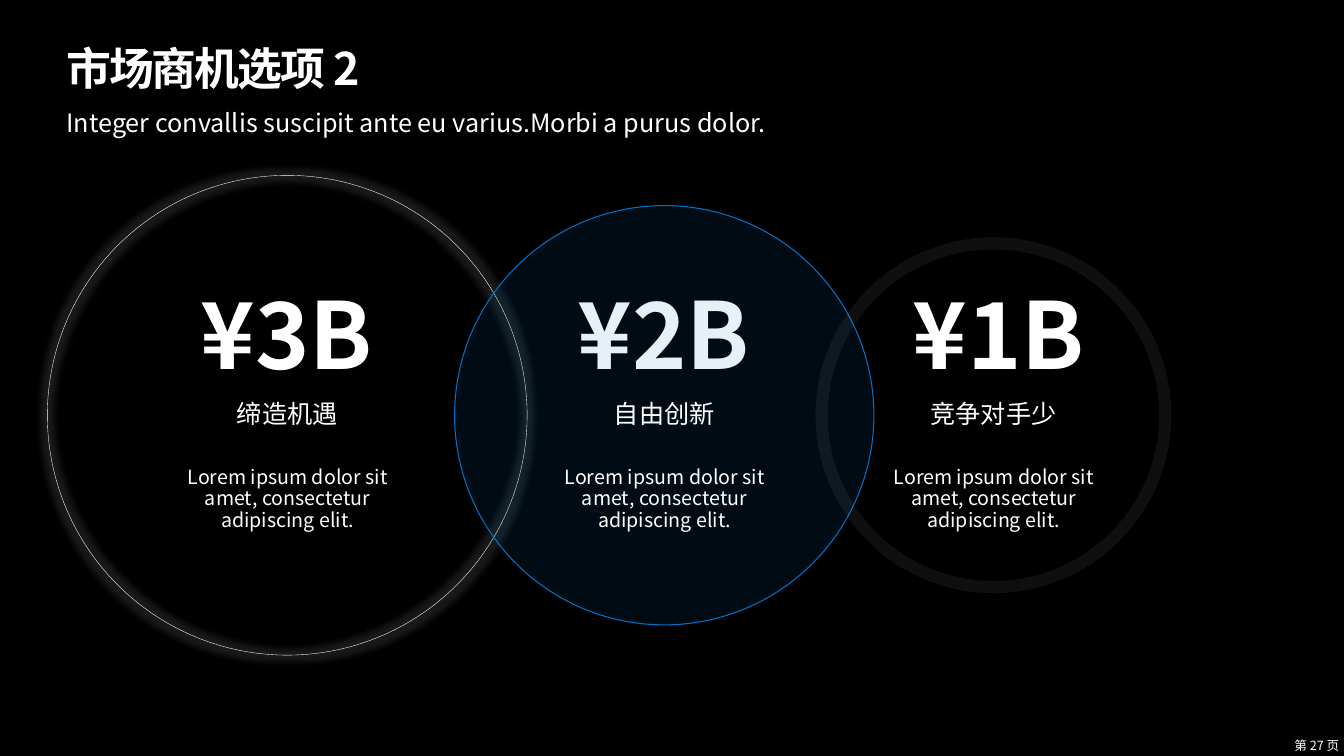
from dataclasses import dataclass

from lxml.etree import SubElement
from pptx import Presentation
from pptx.dml.color import RGBColor
from pptx.enum.shapes import MSO_SHAPE
from pptx.enum.text import MSO_ANCHOR, MSO_AUTO_SIZE, PP_ALIGN
from pptx.oxml.ns import qn
from pptx.util import Pt


@dataclass(frozen=True)
class Theme:
    font: str = "Noto Sans CJK SC"
    black: str = "000000"
    white: str = "FFFFFF"
    blue: str = "0072C7"
    title: int = 32
    value: int = 66
    label: int = 18
    detail: int = 14
    page: int = 9


THEME = Theme()
DETAIL = "Lorem ipsum dolor sit amet, consectetur adipiscing elit."
CENTER_Y = 296.6
# value, label, circle centre x, diameter, value centre x, circle style
MARKETS = [
    ("¥3B", "缔造机遇", 205.2, 342.7, 204.8, dict(line_width=0.25, glow=9)),
    ("¥2B", "自由创新", 474.5, 299.5, 474.1,
     dict(line=THEME.blue, line_width=0.75, fill=THEME.blue, fill_alpha=10)),
    ("¥1B", "竞争对手少", 709.6, 245.5, 713.5,
     dict(line_width=8.75, line_alpha=6)),
]


def write(sp, text, size, bold=False, align=PP_ALIGN.CENTER,
          anchor=MSO_ANCHOR.TOP, leading=0.9, tracking=None):
    tf = sp.text_frame
    tf.word_wrap = True
    tf.auto_size = MSO_AUTO_SIZE.NONE
    tf.vertical_anchor = anchor
    tf.margin_left = tf.margin_right = tf.margin_top = tf.margin_bottom = 0
    p = tf.paragraphs[0]
    p.alignment = align
    p.line_spacing = leading
    p.space_before = Pt(0)
    r = p.add_run()
    r.text = text
    r.font.size = Pt(size)
    r.font.bold = bold
    r.font.name = THEME.font
    r.font.color.rgb = RGBColor.from_string(THEME.white)
    rpr = r.font._element
    SubElement(rpr, qn("a:ea"), typeface=THEME.font)
    if tracking is not None:
        rpr.set("spc", str(round(tracking * 100)))


def add_text(s, box, text, size, **style):
    sp = s.shapes.add_textbox(*map(Pt, box))
    write(sp, text, size, **style)


def paint(fill, color, alpha=100):
    fill.solid()
    fill.fore_color.rgb = RGBColor.from_string(color)
    if alpha < 100:
        clr = fill._xPr.find(qn("a:solidFill"))[0]
        SubElement(clr, qn("a:alpha"), val=str(alpha * 1000))


def add_glow(sp, radius):
    effects = sp._element.spPr.find(qn("a:effectLst"))
    glow = SubElement(effects, qn("a:glow"), rad=str(Pt(radius)))
    clr = SubElement(glow, qn("a:srgbClr"), val=THEME.white)
    SubElement(clr, qn("a:alpha"), val="10000")


def add_circle(s, box, label, line=THEME.white, line_width=1, line_alpha=100,
               fill=None, fill_alpha=100, glow=0):
    sp = s.shapes.add_shape(MSO_SHAPE.OVAL, *map(Pt, box))
    sp.shadow.inherit = False
    if fill:
        paint(sp.fill, fill, fill_alpha)
    else:
        sp.fill.background()
    sp.line.width = Pt(line_width)
    paint(sp.line.fill, line, line_alpha)
    if glow:
        add_glow(sp, glow)
    write(sp, label, THEME.label, anchor=MSO_ANCHOR.MIDDLE)


def add_heading(s, box, title, subtitle):
    x, y, w, h = box
    sp = s.shapes.title
    sp.left, sp.top, sp.width, sp.height = map(Pt, (x, y, w, 34))
    write(sp, title, THEME.title, bold=True, align=PP_ALIGN.LEFT,
          anchor=MSO_ANCHOR.MIDDLE, tracking=-1.5)
    add_text(s, (x, y + h - 20, w, 20), subtitle, THEME.label,
             align=PP_ALIGN.LEFT)


def add_market(s, box, value, label, value_x, style):
    """Stack value, circle and detail so the circle tints the value only."""
    x, y, w, h = box
    cx, cy = x + w / 2, y + h / 2
    add_text(s, (value_x - 110, cy - 131.7, 220, 113), value, THEME.value,
             bold=True, anchor=MSO_ANCHOR.BOTTOM)
    add_circle(s, box, label, **style)
    add_text(s, (cx - 77.7, cy + 37.5, 156, 57), DETAIL, THEME.detail)


def main():
    prs = Presentation()
    prs.slide_width, prs.slide_height = Pt(960), Pt(540)
    s = prs.slides.add_slide(prs.slide_layouts[5])
    paint(s.background.fill, THEME.black)
    add_heading(s, (47.5, 33.8, 785.5, 65.4), "市场商机选项 2",
                "Integer convallis suscipit ante eu varius.Morbi a purus dolor.")
    for value, label, cx, size, value_x, style in MARKETS:
        box = (cx - size / 2, CENTER_Y - size / 2, size, size)
        add_market(s, box, value, label, value_x, style)
    add_text(s, (913.7, 526.3, 43, 12), "第 27 页", THEME.page,
             align=PP_ALIGN.RIGHT, anchor=MSO_ANCHOR.MIDDLE, leading=1.0)
    prs.save("out.pptx")


if __name__ == "__main__":
    main()
